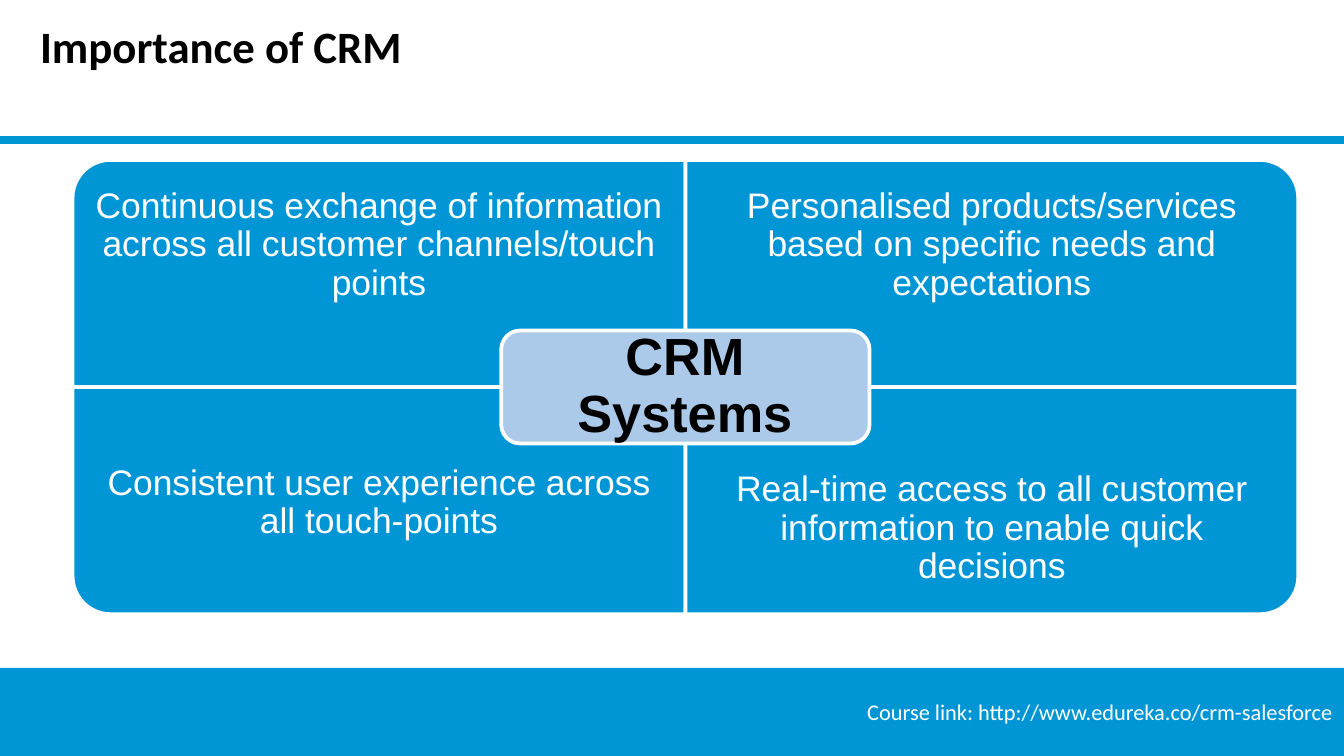
from lxml.etree import SubElement
from pptx import Presentation
from pptx.dml.color import RGBColor
from pptx.enum.shapes import MSO_CONNECTOR, MSO_SHAPE
from pptx.enum.text import MSO_ANCHOR, PP_ALIGN
from pptx.oxml.ns import qn
from pptx.util import Inches, Pt

BLUE, PALE_BLUE, WHITE, BLACK = "0096D6", "ABC9E8", "FFFFFF", "000000"
SLIDE_W = 10
SLIDE_H = SLIDE_W * 9 / 16
GRID_LEFT, GRID_TOP = 0.54, 1.19
CELL_W, CELL_H = 4.56, 1.69
LABEL_H = 1.27

# Text, column, row, rotation of the rounded corner, bottom inset
QUADRANTS = [
    ("Continuous exchange of information across all customer channels/touch points", 0, 0, 270, 0.15),
    ("Personalised products/services based on specific needs and expectations", 1, 0, 0, 0.15),
    ("Consistent user experience across all touch-points", 0, 1, 180, 0.53),
    ("Real-time access to all customer information to enable quick decisions", 1, 1, 90, 0.15),
]


def rgb(value):
    return RGBColor.from_string(value)


def add_block(shapes, preset, left, top, width, height, fill, outline=None):
    block = shapes.add_shape(preset, Inches(left), Inches(top), Inches(width), Inches(height))
    block.shadow.inherit = False
    block.fill.solid()
    block.fill.fore_color.rgb = rgb(fill)
    if outline:
        block.line.color.rgb = rgb(outline)
        block.line.width = Pt(2)
    else:
        block.line.fill.background()
    return block


def write(frame, text, size, font, color, bold=False, align=PP_ALIGN.LEFT,
          anchor=MSO_ANCHOR.TOP, insets=(0.1, 0.05, 0.1, 0.05), spacing=None):
    """Fill a text frame with one run; insets go left, top, right, bottom."""
    frame.word_wrap = True
    frame.vertical_anchor = anchor
    (frame.margin_left, frame.margin_top,
     frame.margin_right, frame.margin_bottom) = map(Inches, insets)
    paragraph = frame.paragraphs[0]
    paragraph.alignment = align
    if spacing:
        paragraph.line_spacing = spacing
    run = paragraph.add_run()
    run.text = text
    run.font.size = Pt(size)
    run.font.name = font
    run.font.bold = bold
    run.font.color.rgb = rgb(color)


def add_label(shapes, left, top, width, height, *content, **style):
    label = shapes.add_textbox(Inches(left), Inches(top), Inches(width), Inches(height))
    write(label.text_frame, *content, **style)


def add_rule(shapes, y):
    rule = shapes.add_connector(MSO_CONNECTOR.STRAIGHT, 0, Inches(y), Inches(SLIDE_W), Inches(y))
    rule.line.color.rgb = rgb(BLUE)
    rule.line.width = Pt(4.5)
    SubElement(rule._element.spPr, qn("a:effectLst"))


def add_quadrant(shapes, text, column, row, rotation, bottom_inset):
    left = GRID_LEFT + column * CELL_W
    top = GRID_TOP + row * CELL_H
    # A quarter turn swaps width and height around the same centre.
    width, height = (CELL_H, CELL_W) if rotation % 180 else (CELL_W, CELL_H)
    cell = add_block(shapes, MSO_SHAPE.ROUND_1_RECTANGLE,
                     left + (CELL_W - width) / 2, top + (CELL_H - height) / 2,
                     width, height, BLUE, WHITE)
    cell.rotation = rotation
    label_top = top + row * (CELL_H - LABEL_H)
    add_label(shapes, left, label_top, CELL_W, LABEL_H, text, 19, "Arial", WHITE,
              align=PP_ALIGN.CENTER, anchor=MSO_ANCHOR.MIDDLE,
              insets=(0.15, 0.15, 0.15, bottom_inset), spacing=0.9)


def add_hub(shapes, text):
    add_block(shapes, MSO_SHAPE.ROUNDED_RECTANGLE, 3.73, 2.46, 2.74, 0.84, PALE_BLUE, WHITE)
    add_label(shapes, 3.77, 2.5, 2.65, 0.76, text, 28, "Arial", BLACK, bold=True,
              align=PP_ALIGN.CENTER, anchor=MSO_ANCHOR.MIDDLE,
              insets=(0.12,) * 4, spacing=0.9)


def main():
    deck = Presentation()
    deck.slide_width, deck.slide_height = Inches(SLIDE_W), Inches(SLIDE_H)
    shapes = deck.slides.add_slide(deck.slide_layouts[6]).shapes

    add_label(shapes, 0.2, 0.09, 9.8, 0.47, "Importance of CRM", 24, "Calibri", BLACK, bold=True)
    add_rule(shapes, 1.04)
    footer_top = 4.97
    footer = add_block(shapes, MSO_SHAPE.RECTANGLE, 0, footer_top,
                       SLIDE_W, SLIDE_H - footer_top, BLUE)
    write(footer.text_frame, "Course link: http://www.edureka.co/crm-salesforce",
          12, "Calibri", WHITE, align=PP_ALIGN.RIGHT, anchor=MSO_ANCHOR.MIDDLE,
          insets=(0.08, 0.04, 0.08, 0.04))

    matrix = shapes.add_group_shape().shapes
    for quadrant in QUADRANTS:
        add_quadrant(matrix, *quadrant)
    add_hub(matrix, "CRM Systems")

    deck.save("out.pptx")


if __name__ == "__main__":
    main()
